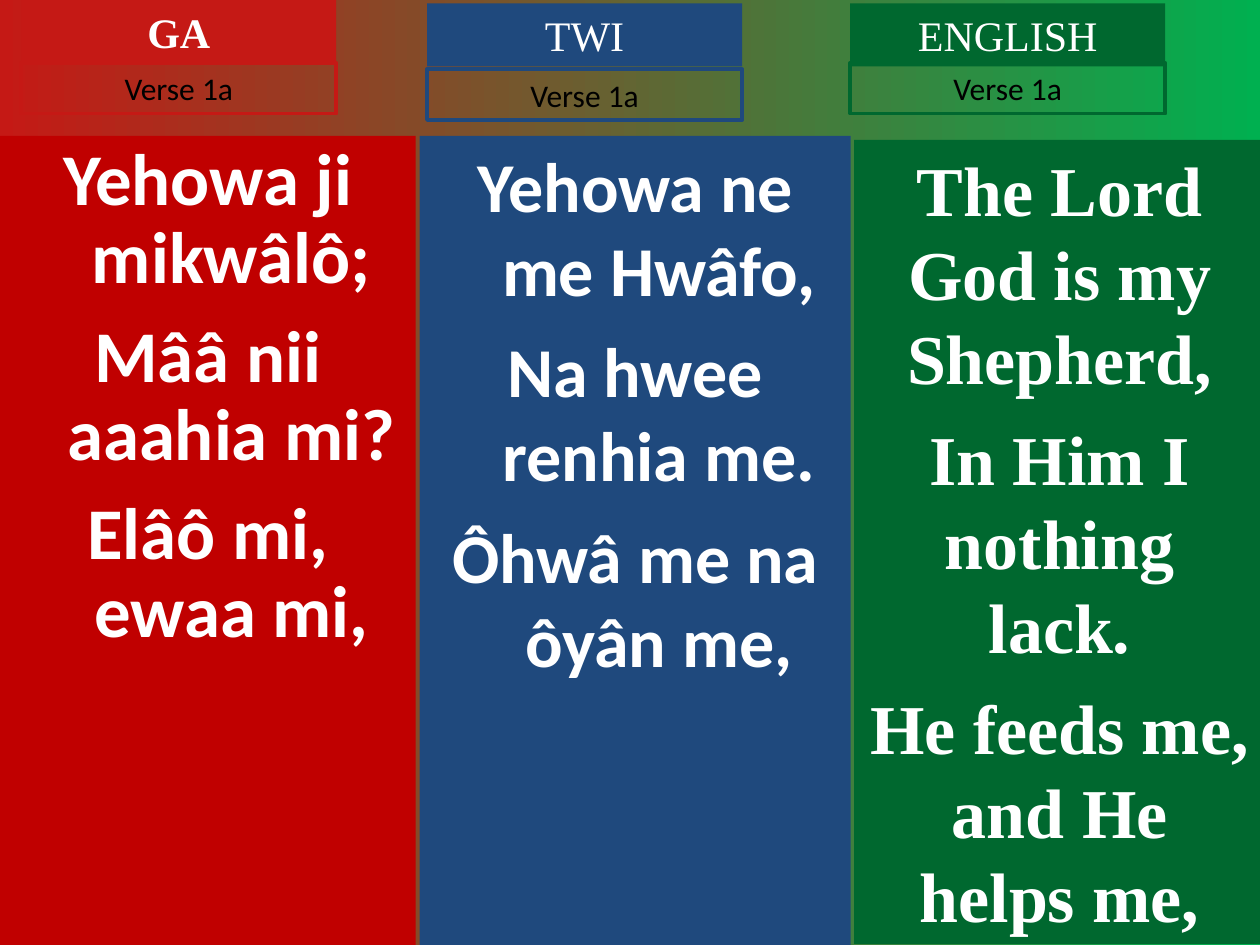
from lxml.etree import SubElement
from pptx import Presentation
from pptx.dml.color import RGBColor
from pptx.enum.text import MSO_ANCHOR as Anchor, MSO_AUTO_SIZE as AutoSize, PP_ALIGN as Align
from pptx.oxml.ns import qn
from pptx.util import Cm, Pt

SANS, SERIF = "Calibri", "Times New Roman"


def rgb(hex_color):
    return RGBColor.from_string(hex_color)


def write(tf, lines, size, font, color="FFFFFF", bold=False, before=0, spacing=None, hang=0):
    """Fill a text frame with centred, unbulleted paragraphs; hang is in cm."""
    tf.word_wrap = True
    for i, line in enumerate(lines):
        p = tf.paragraphs[0] if i == 0 else tf.add_paragraph()
        pPr = p._p.get_or_add_pPr()
        pPr.set("marL", str(Cm(hang)))
        pPr.set("indent", str(-Cm(hang)))
        SubElement(pPr, qn("a:buNone"))
        p.alignment = Align.CENTER
        p.space_before = Pt(before if i else 0)
        if spacing:
            p.line_spacing = spacing
        r = p.add_run()
        r.text = line
        r.font.size, r.font.name, r.font.bold = Pt(size), font, bold
        r.font.color.rgb = rgb(color)


class HymnSlide:
    head_width, head_height, label_height = 6.35, 1.27, 1.02

    def __init__(self, prs):
        self.slide = prs.slides.add_slide(prs.slide_layouts[3])
        title = self.slide.shapes.title._element
        title.getparent().remove(title)
        self.bodies = list(self.slide.placeholders)

    def background(self, left_color, right_color):
        fill = self.slide.background.fill
        fill.gradient()
        fill.gradient_angle = 0
        for stop, color in zip(fill.gradient_stops, (left_color, right_color)):
            stop.color.rgb = rgb(color)

    def box(self, left, top, width, height):
        return self.slide.shapes.add_textbox(Cm(left), Cm(top), Cm(width), Cm(height))

    def heading(self, text, left, top, color, bold=False):
        s = self.box(left, top, self.head_width, self.head_height)
        s.fill.solid()
        s.fill.fore_color.rgb = rgb(color)
        write(s.text_frame, [text], 24, SERIF, bold=bold)

    def label(self, text, left, top, color):
        s = self.box(left, top, self.head_width, self.label_height)
        s.line.color.rgb = rgb(color)
        s.line.width = Pt(2.25)
        write(s.text_frame, [text], 18, SANS, color="000000")

    def verse(self, lines, left, top, width, height, color, **fmt):
        """Place a verse in the next free body placeholder, or else in a text box."""
        if self.bodies:
            s = self.bodies.pop(0)
            s.left, s.top, s.width, s.height = map(Cm, (left, top, width, height))
        else:
            s = self.box(left, top, width, height)
        s.fill.solid()
        s.fill.fore_color.rgb = rgb(color)
        s.text_frame.auto_size = AutoSize.NONE
        s.text_frame.vertical_anchor = Anchor.TOP
        write(s.text_frame, lines, bold=True, **fmt)


def main():
    prs = Presentation()
    prs.slide_width, prs.slide_height = Cm(25.4), Cm(19.05)
    hymn = HymnSlide(prs)
    hymn.background("C51915", "00B050")

    hymn.verse(["Yehowa ji mikwâlô;", "Mââ nii aaahia mi?", "Elâô mi, ewaa mi,"],
               0, 2.74, 8.38, 16.31, "C00000",
               size=41.6, font=SANS, before=11.2, spacing=0.9, hang=0.95)
    hymn.verse(["Yehowa ne me Hwâfo,", "Na hwee renhia me.", "Ôhwâ me na ôyân me,"],
               8.46, 2.74, 8.69, 16.31, "1F497D",
               size=40, font=SANS, before=10, hang=0.95)
    hymn.verse(["The Lord God is my Shepherd,", "In Him I nothing lack.",
                "He feeds me, and He helps me,"],
               17.22, 2.82, 8.28, 16.21, "00682F",
               size=40, font=SERIF, before=10)

    columns = [
        ("GA", 0.43, 0, 1.27, "C51915", True),
        ("TWI", 8.61, 0.07, 1.4, "1F497D", False),
        ("ENGLISH", 17.14, 0.07, 1.27, "00682F", False),
    ]
    for language, left, head_top, label_top, color, bold in columns:
        hymn.heading(language, left, head_top, color, bold)
        hymn.label("Verse 1a", left, label_top, color)

    prs.save("out.pptx")


if __name__ == "__main__":
    main()
